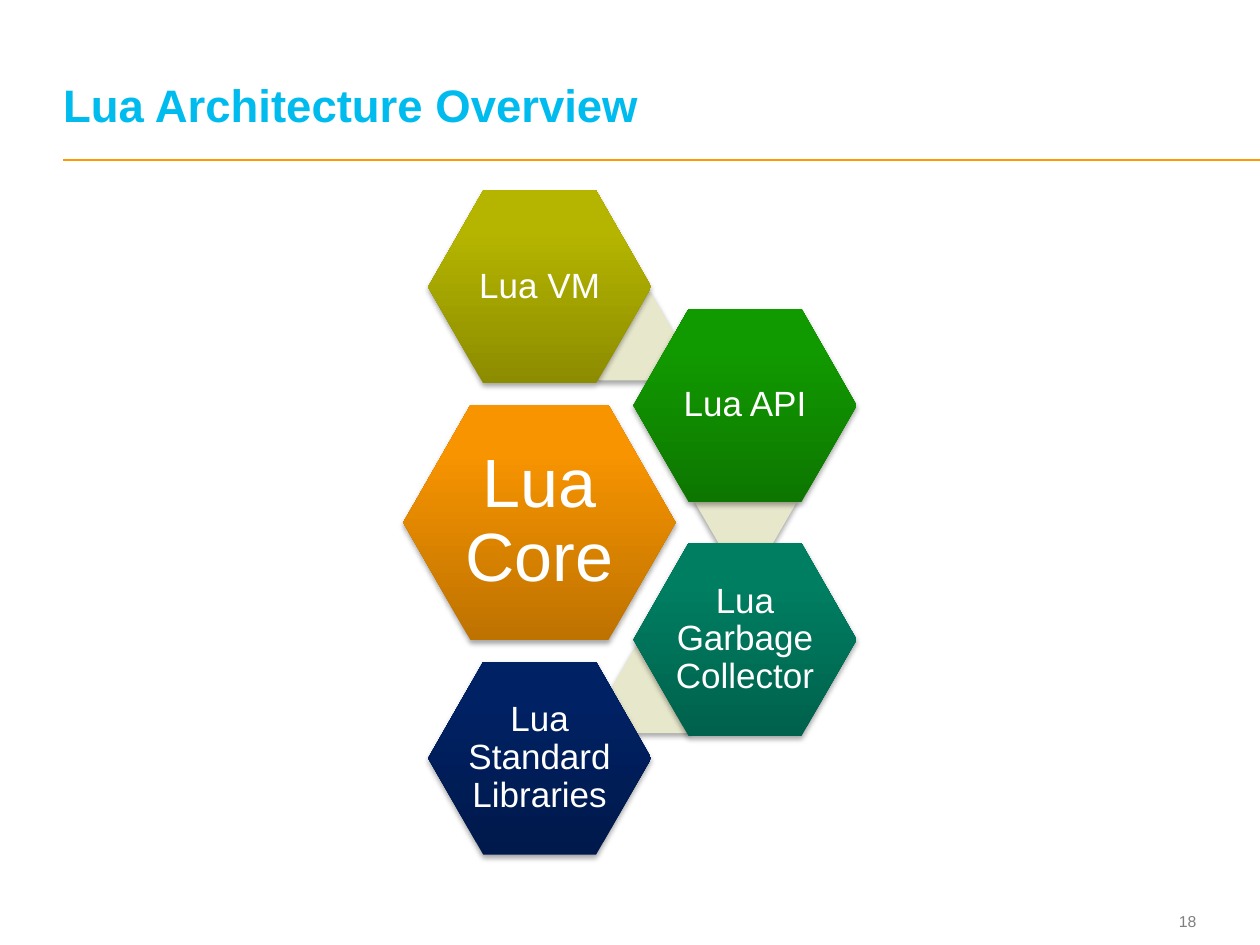
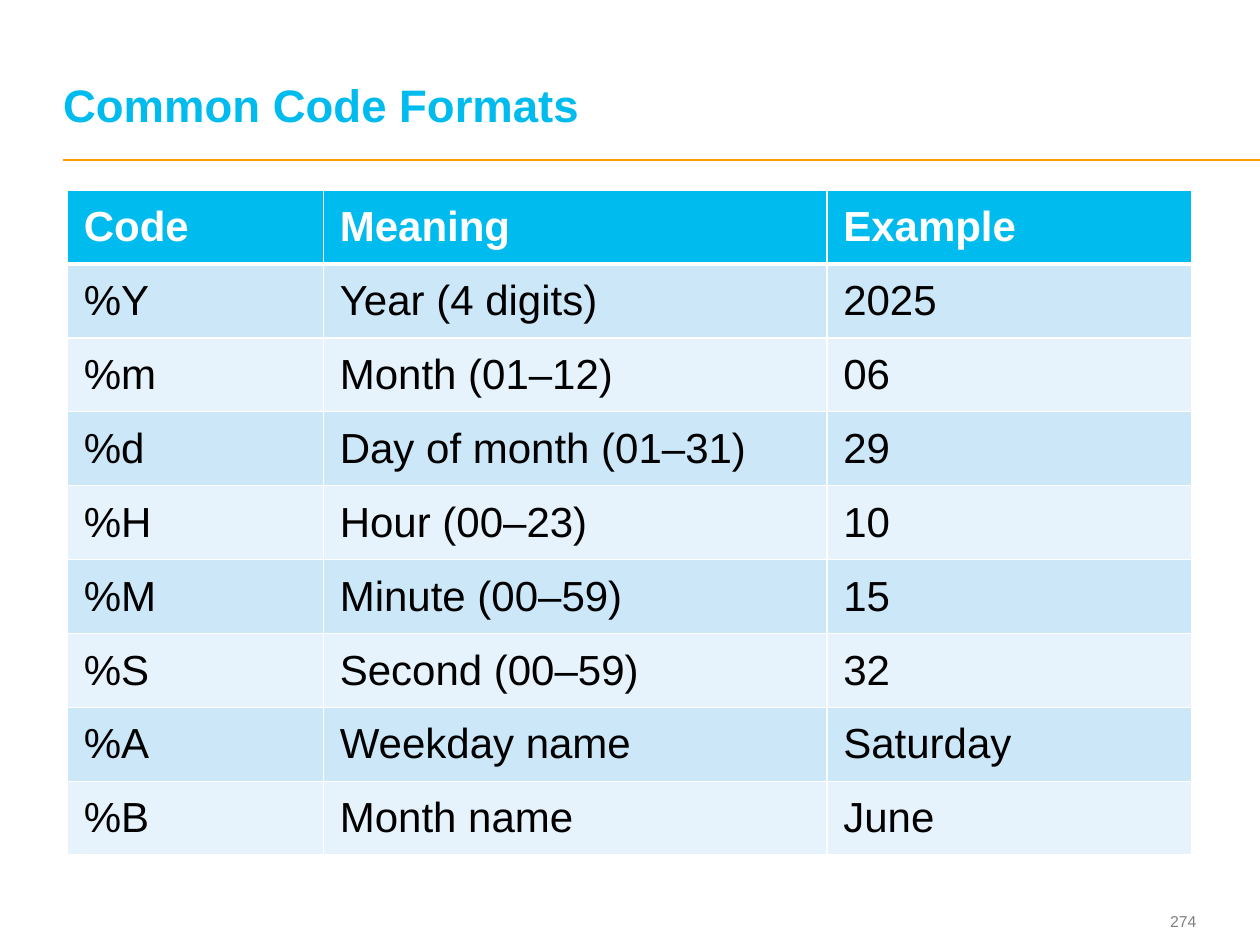
from lxml import etree
from pptx import Presentation
from pptx.dml.color import RGBColor
from pptx.enum.shapes import MSO_CONNECTOR, MSO_SHAPE
from pptx.enum.text import MSO_ANCHOR, MSO_AUTO_SIZE, PP_ALIGN
from pptx.oxml import parse_xml
from pptx.oxml.ns import nsdecls, qn
from pptx.util import Cm, Pt

HEXAGON = MSO_SHAPE.HEXAGON
STRAIGHT = MSO_CONNECTOR.STRAIGHT
MIDDLE, BOTTOM = MSO_ANCHOR.MIDDLE, MSO_ANCHOR.BOTTOM
LEFT, CENTER, RIGHT = PP_ALIGN.LEFT, PP_ALIGN.CENTER, PP_ALIGN.RIGHT
NO_AUTOFIT = MSO_AUTO_SIZE.NONE

FONT = "Arial"
CYAN, ORANGE, WHITE, BLACK, GRAY = "00BBEE", "FF9900", "FFFFFF", "000000", "7F7F7F"
LINK_FILL = "E7E7CC"
BAND_FILLS = ("CCE7F8", "E7F3FC")
TITLE_ONLY_LAYOUT = 5
SLIDE_WIDTH, SLIDE_HEIGHT = 25.4, 19.05
MARGIN = 1.27

# Hexagon columns and sizes, in centimetres
LEFT_COLUMN, RIGHT_COLUMN = 8.63, 12.77
PART_SIZE, CORE_SIZE, LINK_SIZE = (4.5, 3.89), (5.49, 4.75), (2.07, 1.78)

# Label, left, top, dark colour at the bottom, light colour at the top
PARTS = [
    ("Lua VM", LEFT_COLUMN, 3.84, "8C8C00", "B5B500"),
    ("Lua API", RIGHT_COLUMN, 6.23, "0D7600", "119A00"),
    ("Lua Garbage Collector", RIGHT_COLUMN, 10.95, "00614C", "007E62"),
    ("Lua Standard Libraries", LEFT_COLUMN, 13.34, "00194C", "002163"),
]
LINKS = [(11.56, 5.89), (14, 9.22), (12.32, 13)]

COLUMN_WIDTHS = (5.16, 10.15, 7.35)
ROW_HEIGHT = 1.49
CODE_FORMATS = [
    ("Code", "Meaning", "Example"),
    ("%Y", "Year (4 digits)", "2025"),
    ("%m", "Month (01–12)", "06"),
    ("%d", "Day of month (01–31)", "29"),
    ("%H", "Hour (00–23)", "10"),
    ("%M", "Minute (00–59)", "15"),
    ("%S", "Second (00–59)", "32"),
    ("%A", "Weekday name", "Saturday"),
    ("%B", "Month name", "June"),
]


def color(hex_string):
    return RGBColor.from_string(hex_string)


def write(frame, text, size, hex_color, align=LEFT, anchor=MIDDLE, bold=False):
    """Fill a text frame with one paragraph in the deck's font, without insets."""
    frame.word_wrap = True
    frame.auto_size = NO_AUTOFIT
    frame.vertical_anchor = anchor
    frame.margin_left = frame.margin_right = 0
    frame.margin_top = frame.margin_bottom = 0
    frame.text = text
    paragraph = frame.paragraphs[0]
    paragraph.alignment = align
    style_font(paragraph.font, size, hex_color, bold)
    return paragraph


def style_font(font, size, hex_color, bold):
    font.name, font.size, font.bold = FONT, Pt(size), bold
    font.color.rgb = color(hex_color)


def add_slide(presentation, title_text, number):
    """Add a slide with the shared title, orange rule and slide number."""
    slide = presentation.slides.add_slide(presentation.slide_layouts[TITLE_ONLY_LAYOUT])
    rule = slide.shapes.add_connector(
        STRAIGHT, Cm(MARGIN), Cm(3.23), Cm(SLIDE_WIDTH), Cm(3.23))
    rule.line.color.rgb = color(ORANGE)
    rule.line.width = Pt(1)
    etree.SubElement(rule._element.spPr, qn("a:effectLst"))

    title = slide.shapes.title
    title.left, title.top = Cm(MARGIN), Cm(0.48)
    title.width, title.height = Cm(22.78), Cm(2.18)
    paragraph = write(title.text_frame, title_text, 26, CYAN, anchor=BOTTOM, bold=True)
    paragraph.line_spacing = Pt(26)

    number_box = slide.shapes.add_textbox(Cm(22.62), Cm(18.23), Cm(1.5), Cm(0.69))
    write(number_box.text_frame, str(number), 9, GRAY, align=RIGHT)
    return slide


def add_shadow(shape):
    shape.shadow.inherit = False
    effects = shape._element.spPr.find(qn("a:effectLst"))
    effects.append(parse_xml(
        f'<a:outerShdw {nsdecls("a")} blurRad="40000" dist="23000" dir="5400000"'
        ' rotWithShape="0"><a:srgbClr val="000000"><a:alpha val="35000"/>'
        '</a:srgbClr></a:outerShdw>'))


def add_hexagon(slide, left, top, size, adjustment):
    hexagon = slide.shapes.add_shape(HEXAGON, Cm(left), Cm(top), *map(Cm, size))
    hexagon.adjustments[0] = adjustment
    hexagon.line.fill.background()
    add_shadow(hexagon)
    return hexagon


def add_part(slide, label, left, top, dark, light, size=PART_SIZE, font_size=20):
    """Add a labelled hexagon shaded from dark (bottom) to light (top)."""
    hexagon = add_hexagon(slide, left, top, size, 0.286)
    hexagon.fill.gradient()
    hexagon.fill.gradient_angle = 90
    for stop, position, shade in zip(hexagon.fill.gradient_stops, (0, 0.8), (dark, light)):
        stop.position = position
        stop.color.rgb = color(shade)
    paragraph = write(hexagon.text_frame, label, font_size, WHITE, align=CENTER)
    paragraph.line_spacing = 0.9


def add_link(slide, left, top):
    """Add a small pale hexagon that shows between two parts."""
    link = add_hexagon(slide, left, top, LINK_SIZE, 0.289)
    link.fill.solid()
    link.fill.fore_color.rgb = color(LINK_FILL)


def set_borders(cell, **widths):
    """Draw white borders; widths in points by side: L, R, T, B."""
    properties = cell._tc.get_or_add_tcPr()
    for side, width in widths.items():
        properties.append(parse_xml(
            f'<a:ln{side} {nsdecls("a")} w="{Pt(width)}"><a:solidFill>'
            f'<a:srgbClr val="{WHITE}"/></a:solidFill></a:ln{side}>'))


def format_cell(cell, text, row):
    is_header = row == 0
    set_borders(cell, L=1, R=1, T=3 if row == 1 else 1, B=3 if is_header else 1)
    cell.fill.solid()
    cell.fill.fore_color.rgb = color(CYAN if is_header else BAND_FILLS[(row - 1) % 2])
    cell.vertical_anchor = MIDDLE
    cell.margin_left = cell.margin_right = Cm(0.33)
    cell.margin_top = cell.margin_bottom = Cm(0.17)
    cell.text = text
    style_font(cell.text_frame.paragraphs[0].font, 24, WHITE if is_header else BLACK, is_header)


def add_table(slide, rows, left, top):
    table = slide.shapes.add_table(
        len(rows), len(COLUMN_WIDTHS), Cm(left), Cm(top),
        Cm(sum(COLUMN_WIDTHS)), Cm(ROW_HEIGHT * len(rows))).table
    table.horz_banding = False
    for column, width in zip(table.columns, COLUMN_WIDTHS):
        column.width = Cm(width)
    for row_index, texts in enumerate(rows):
        table.rows[row_index].height = Cm(ROW_HEIGHT)
        for column_index, text in enumerate(texts):
            format_cell(table.cell(row_index, column_index), text, row_index)


def add_architecture_slide(presentation):
    slide = add_slide(presentation, "Lua Architecture Overview", 18)
    add_part(slide, "Lua Core", 8.13, 8.16, "BE7200", "F79400",
             size=CORE_SIZE, font_size=39)
    for link in LINKS:
        add_link(slide, *link)
    for part in PARTS:
        add_part(slide, *part)


def add_formats_slide(presentation):
    slide = add_slide(presentation, "Common Code Formats", 274)
    add_table(slide, CODE_FORMATS, 1.36, 3.83)


def main():
    presentation = Presentation()
    presentation.slide_width, presentation.slide_height = Cm(SLIDE_WIDTH), Cm(SLIDE_HEIGHT)
    add_architecture_slide(presentation)
    add_formats_slide(presentation)
    presentation.save("out.pptx")


if __name__ == "__main__":
    main()
